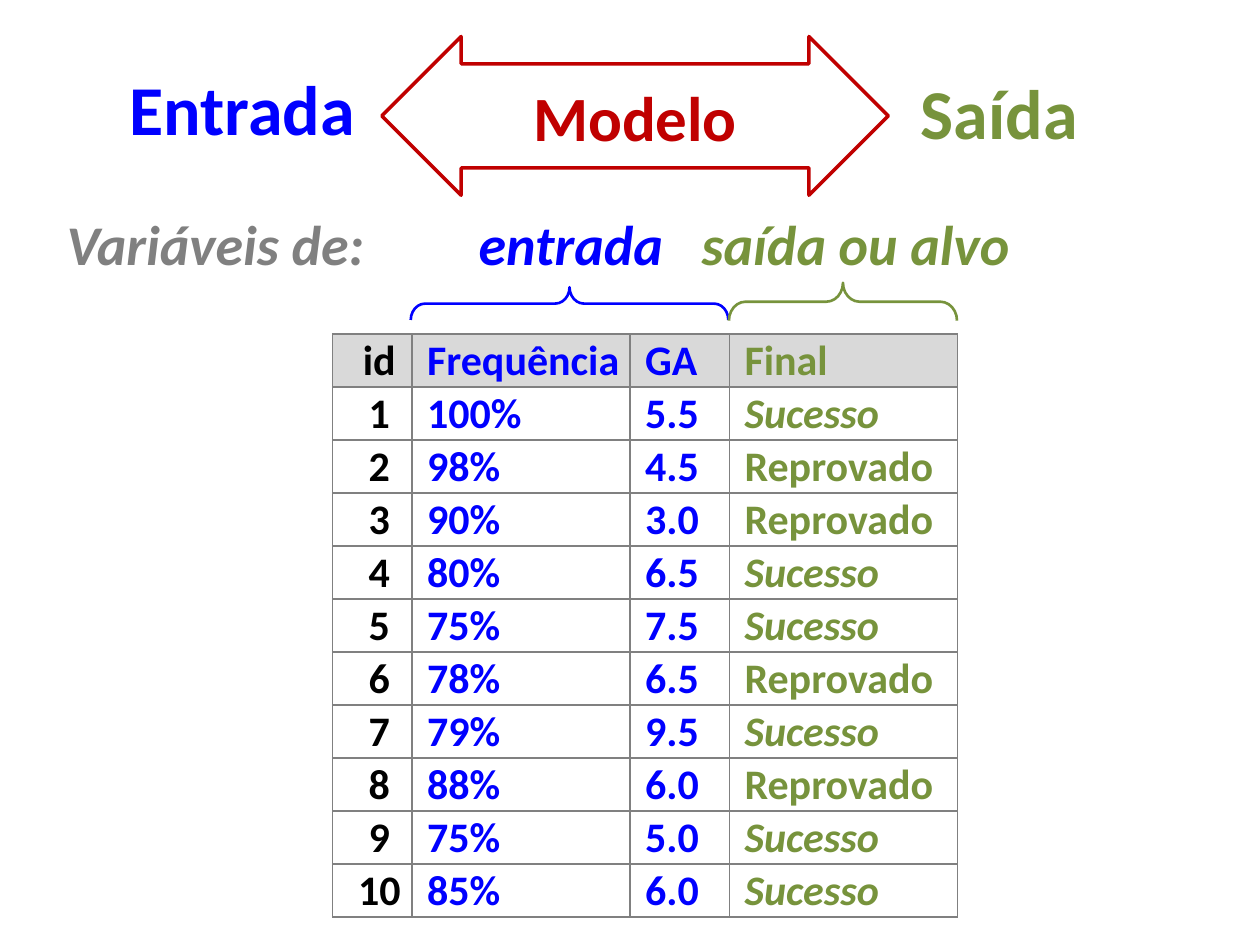
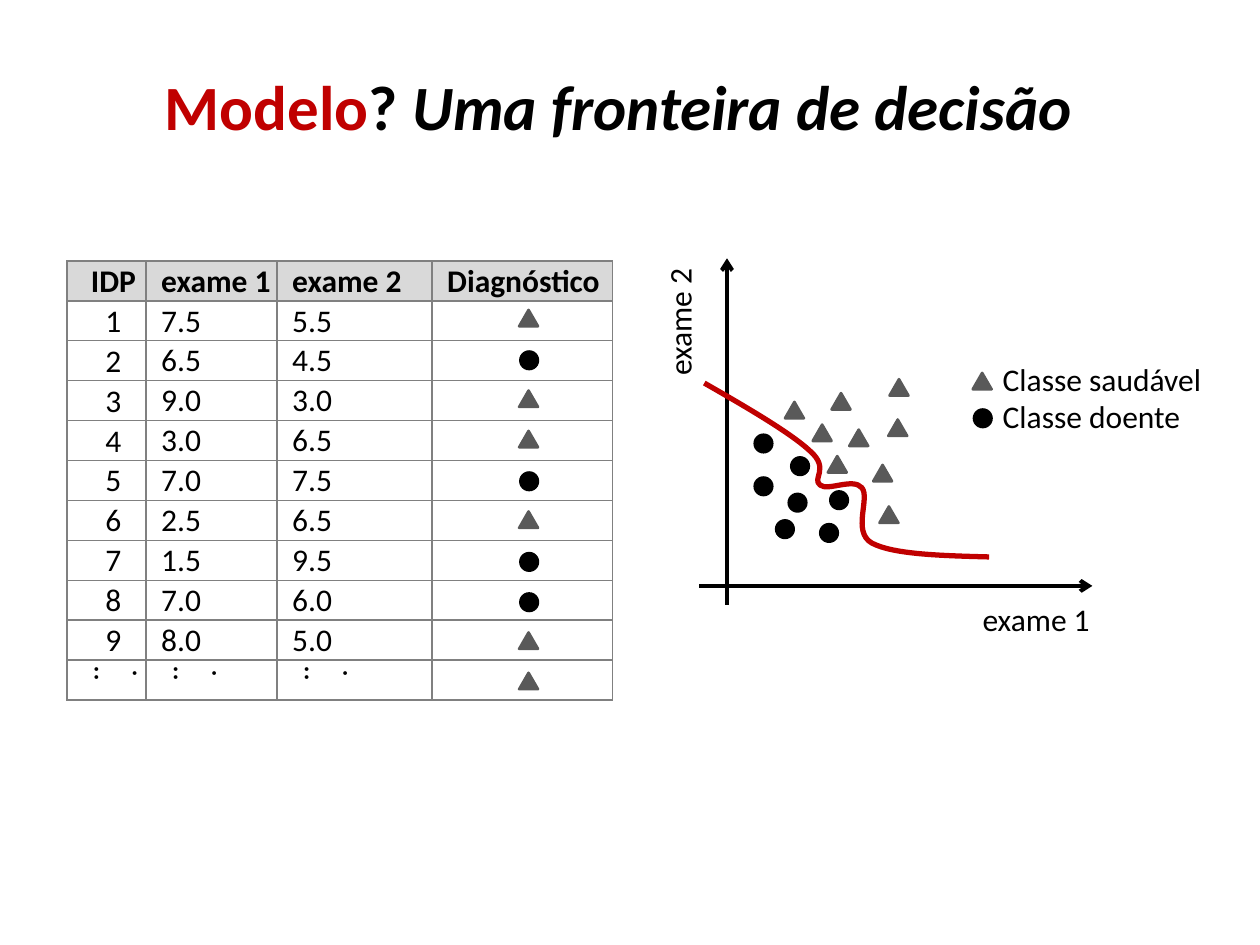
from lxml import etree
from pptx import Presentation, util as u
from pptx.dml.color import RGBColor
from pptx.enum import shapes, text
from pptx.oxml.ns import qn

rgb = RGBColor.from_string
BLUE, GREEN, RED = "0000FF", "77933C", "C00000"
BLACK, WHITE, GRAY, DARK, HEAD = "000000", "FFFFFF", "808080", "595959", "D9D9D9"
KIND = shapes.MSO_SHAPE
LEFT, MID = text.PP_ALIGN.LEFT, text.PP_ALIGN.CENTER
TOP, LOW = text.MSO_ANCHOR.TOP, text.MSO_ANCHOR.BOTTOM


def write(frame, words, size=18, color=BLACK, bold=False, italic=False, align=LEFT):
    """Add a formatted run to the first paragraph of a frame."""
    para = frame.paragraphs[0]
    para.alignment = align
    run = para.add_run()
    run.text = words
    font = run.font
    font.name, font.size = "Calibri", u.Pt(size)
    font.bold, font.italic = bold, italic
    font.color.rgb = rgb(color)


def draw(slide, kind, x, y, w, h, fill=None, line=None, width=1.5):
    """Add a preset shape; no fill or line unless a colour is given."""
    item = slide.shapes.add_shape(kind, *map(u.Inches, (x, y, w, h)))
    item.shadow.inherit = False
    if fill:
        item.fill.solid()
        item.fill.fore_color.rgb = rgb(fill)
    else:
        item.fill.background()
    if line:
        item.line.color.rgb = rgb(line)
        item.line.width = u.Pt(width)
    else:
        item.line.fill.background()
    return item


deck = Presentation()
deck.slide_width, deck.slide_height = u.Inches(10), u.Inches(7.5)
blank = deck.slide_layouts[6]
vars_, plot = deck.slides.add_slide(blank), deck.slides.add_slide(blank)

# Table data
grades = [("id", "Frequência", "GA", "Final")]
for i, (freq, mark, end) in enumerate([
        ("100%", "5.5", "Sucesso"), ("98%", "4.5", "Reprovado"),
        ("90%", "3.0", "Reprovado"), ("80%", "6.5", "Sucesso"),
        ("75%", "7.5", "Sucesso"), ("78%", "6.5", "Reprovado"),
        ("79%", "9.5", "Sucesso"), ("88%", "6.0", "Reprovado"),
        ("75%", "5.0", "Sucesso"), ("85%", "6.0", "Sucesso")], 1):
    grades.append((str(i), freq, mark, end))

exams = [("IDP", "exame 1", "exame 2", "Diagnóstico")]
for i, (one, two) in enumerate([
        ("7.5", "5.5"), ("6.5", "4.5"), ("9.0", "3.0"), ("3.0", "6.5"), ("7.0", "7.5"),
        ("2.5", "6.5"), ("1.5", "9.5"), ("7.0", "6.0"), ("8.0", "5.0")], 1):
    exams.append((str(i), one, two, ""))
exams.append(("...", "...", "...", ""))

# Both tables: slide, data, place, column widths, size, colours, bold body, top columns
for slide, data, x, y, high, cols, size, tints, bold, tops in [
        (vars_, grades, 2.64, 2.65, 4.63, (0.63, 1.73, 0.79, 1.81), 24,
         (BLACK, BLUE, BLUE, GREEN), True, (2,)),
        (plot, exams, 0.53, 2.07, 3.49, (0.63, 1.04, 1.23, 1.43), 18,
         (BLACK,) * 4, False, (1, 2))]:
    grid = slide.shapes.add_table(len(data), len(cols), u.Inches(x), u.Inches(y),
                                  u.Inches(sum(cols)), u.Inches(high)).table
    for c, wide in enumerate(cols):
        grid.columns[c].width = u.Inches(wide)
    for r, row in enumerate(data):
        grid.rows[r].height = u.Inches(high / len(data))
        for c, words in enumerate(row):
            cell = grid.cell(r, c)
            cell.margin_left, cell.margin_bottom = u.Inches(0.12), 0
            cell.margin_right = cell.margin_top = u.Inches(0.01)
            cell.vertical_anchor = TOP if r and c in tops else LOW
            props = cell._tc.get_or_add_tcPr()
            for side in ("a:lnL", "a:lnR", "a:lnT", "a:lnB"):
                edge = etree.SubElement(props, qn(side), w=str(u.Pt(1)))
                paint = etree.SubElement(edge, qn("a:solidFill"))
                etree.SubElement(paint, qn("a:srgbClr"), val=GRAY)
            cell.fill.solid()
            cell.fill.fore_color.rgb = rgb(WHITE if r else HEAD)
            if words == "...":
                props.set("vert", "vert270")
            if words:
                write(cell.text_frame, words, size, tints[c], bold or r == 0,
                      words == "Sucesso", MID if c == 0 or words == "..." else LEFT)

# Single-line labels of both slides
for slide, x, y, w, h, words, size, color, wrap, turn in [
        (vars_, 0.93, 0.47, 2.67, 0.77, "Entrada", 40, BLUE, True, 0),
        (vars_, 7.21, 0.5, 2.01, 0.77, "Saída", 40, GREEN, True, 0),
        (plot, 7.7, 4.71, 1.06, 0.4, "exame 1", 18, BLACK, False, 0),
        (plot, 4.86, 2.35, 1.06, 0.4, "exame 2", 18, BLACK, False, 270),
        (plot, 7.86, 2.81, 1.79, 0.4, "Classe saudável", 18, BLACK, False, 0),
        (plot, 7.86, 3.1, 1.63, 0.4, "Classe doente", 18, BLACK, False, 0)]:
    box = slide.shapes.add_textbox(*map(u.Inches, (x, y, w, h)))
    box.rotation = turn
    box.text_frame.word_wrap = wrap
    box.text_frame.auto_size = text.MSO_AUTO_SIZE.SHAPE_TO_FIT_TEXT
    write(box.text_frame, words, size, color, bold=size > 18)

# Slide 1: model arrow and braces
arrow = draw(vars_, KIND.LEFT_RIGHT_ARROW, 3.03, 0.29, 4.02, 1.26, WHITE, RED, 2)
arrow.adjustments[0], arrow.adjustments[1] = 0.656, 0.5
arrow.text_frame.vertical_anchor = text.MSO_ANCHOR.MIDDLE
write(arrow.text_frame, "Modelo", 36, RED, bold=True, align=MID)

for x, y, w, h, color in [(4.39, 1.15, 0.26, 2.52, BLUE), (6.54, 1.49, 0.3, 1.81, GREEN)]:
    brace = draw(vars_, KIND.LEFT_BRACE, x, y, w, h, line=color)
    brace.rotation = 90
    brace.adjustments[0], brace.adjustments[1] = 0.439, 0.5

# Slide 1: variable names, set over the columns with tab stops
box = vars_.shapes.add_textbox(*map(u.Inches, (0.43, 1.61, 8.79, 0.55)))
box.text_frame.word_wrap = True
for words, color in [("Variáveis de:", GRAY), ("\tentrada", BLUE),
                     ("\tsaída ou alvo", GREEN)]:
    write(box.text_frame, words, 32, color, bold=True, italic=True)
props = box.text_frame.paragraphs[0]._p.get_or_add_pPr()
tabs = etree.SubElement(props, qn("a:tabLst"))
for stop in (3.27, 5.04):
    etree.SubElement(tabs, qn("a:tab"), pos=str(u.Inches(stop)), algn="l")

# Slide 2: title
box = plot.shapes.add_textbox(*map(u.Inches, (0.2, 0.21, 9.53, 1.25)))
box.text_frame.word_wrap = True
box.text_frame.vertical_anchor = text.MSO_ANCHOR.MIDDLE
write(box.text_frame, "Modelo", 36, RED, bold=True, align=MID)
write(box.text_frame, "? ", 36, bold=True, align=MID)
write(box.text_frame, "Uma fronteira de decisão ", 36, bold=True, italic=True, align=MID)

# Slide 2: axes
for ends in [(5.77, 4.8, 5.77, 2.05), (5.55, 4.65, 8.67, 4.65)]:
    axis = plot.shapes.add_connector(shapes.MSO_CONNECTOR.STRAIGHT, *map(u.Inches, ends))
    axis.line.color.rgb = rgb(BLACK)
    axis.line.width = u.Pt(2.25)
    etree.SubElement(axis.line._get_or_add_ln(), qn("a:tailEnd"), type="arrow")
    etree.SubElement(axis._element.spPr, qn("a:effectLst"))

# Slide 2: class marks in the plot, the legend and the table
sick = [(5.98, 3.78), (6.27, 3.62), (6.25, 3.91), (6.15, 4.12), (6.5, 4.15),
        (5.98, 3.44), (6.58, 3.89), (7.72, 3.24)]
well = [(6.23, 3.19), (6.57, 3.62), (6.45, 3.37), (6.74, 3.41), (6.93, 3.69),
        (6.6, 3.12), (7.06, 3.01), (6.98, 4.02), (7.05, 3.33), (7.72, 2.96)]
for i in range(10):
    spots = sick if i in (1, 4, 6, 7) else well
    spots.append((4.12, 2.46 + 0.32 * i))
for x, y in sick:
    draw(plot, KIND.OVAL, x, y, 0.16, 0.16, BLACK)
for x, y in well:
    draw(plot, KIND.ISOSCELES_TRIANGLE, x, y, 0.15, 0.13, DARK, DARK)

# Slide 2: decision border, every three points after the first make one curve
knots = [(5.59, 3.04),
         (5.94, 3.24), (6.28, 3.44), (6.43, 3.58),
         (6.59, 3.72), (6.44, 3.8), (6.51, 3.85),
         (6.57, 3.9), (6.77, 3.79), (6.84, 3.87),
         (6.91, 3.95), (6.76, 4.22), (6.92, 4.31),
         (7.09, 4.4), (7.47, 4.41), (7.85, 4.42)]
knots = [(u.Inches(x), u.Inches(y)) for x, y in knots]
maker = plot.shapes.build_freeform(*knots[0])
maker.add_line_segments(knots[1:], close=False)
border = maker.convert_to_shape()
border.shadow.inherit = False
border.fill.background()
border.line.color.rgb = rgb(RED)
border.line.width = u.Pt(3)
curve = border._element.find(".//" + qn("a:path"))
legs = curve.findall(qn("a:lnTo"))
for i in range(0, len(legs), 3):
    bend = etree.SubElement(curve, qn("a:cubicBezTo"))
    for leg in legs[i:i + 3]:
        bend.append(leg[0])
        curve.remove(leg)

deck.save("out.pptx")
